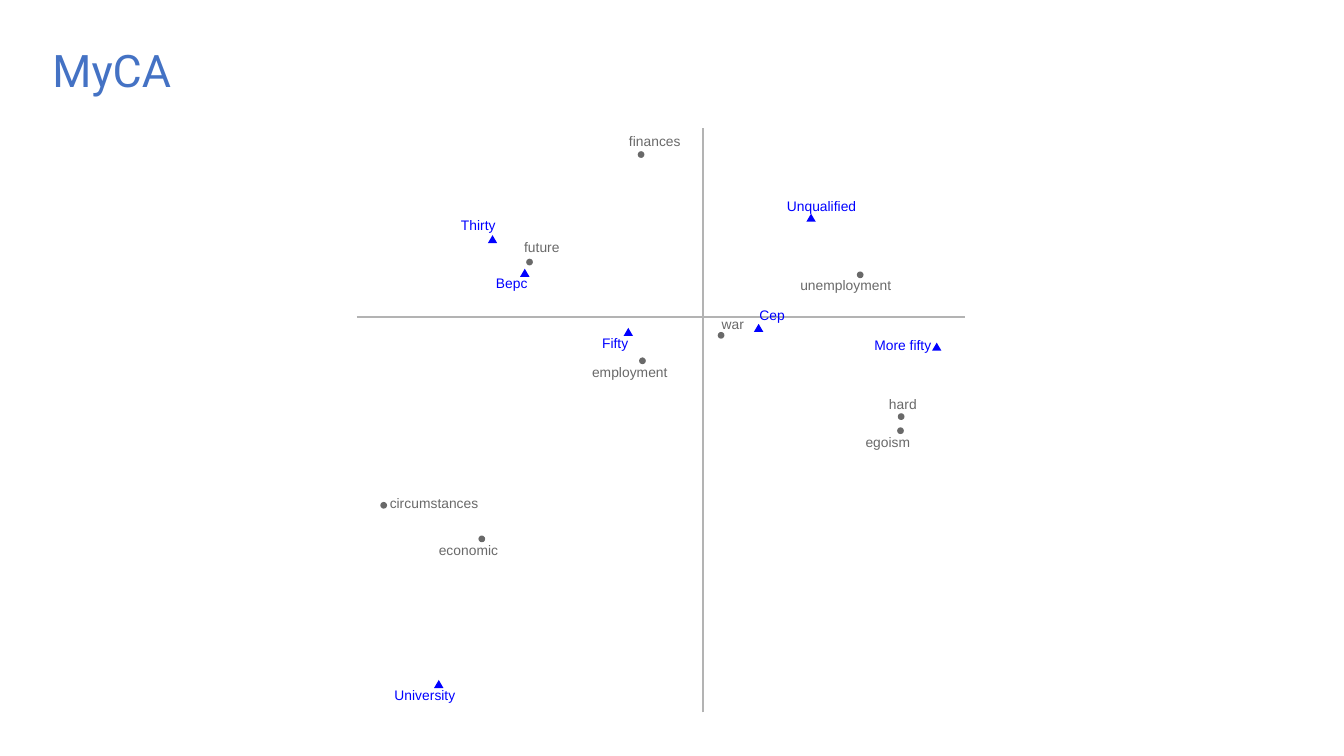
from pptx import Presentation
from pptx.dml.color import RGBColor
from pptx.enum.shapes import MSO_CONNECTOR, MSO_SHAPE
from pptx.enum.text import MSO_ANCHOR, MSO_AUTO_SIZE, PP_ALIGN
from pptx.oxml.ns import qn
from pptx.util import Pt
from lxml.etree import SubElement

PX = 4572  # 200 px to the inch
SLACK = 3  # spare width that keeps each label on one line
BLUE, GREY, AXIS, WHITE = "0000FF", "696969", "B3B3B3", "FFFFFF"
color = RGBColor.from_string


def write(frame, text, font="Arial", size=7.4, fill=GREY, space=Pt(7.4)):
    frame.vertical_anchor = MSO_ANCHOR.MIDDLE
    par = frame.paragraphs[0]
    par.alignment = PP_ALIGN.LEFT
    par.line_spacing = space
    run = par.add_run()
    run.text = text
    run.font.name = font
    run.font.size = Pt(size)
    run.font.color.rgb = color(fill)


def place(shapes, kind, box, fill):
    shape = shapes.add_shape(kind, *[v * PX for v in box])
    shape.shadow.inherit = False
    shape.fill.solid()
    shape.fill.fore_color.rgb = color(fill)
    shape.line.fill.background()
    return shape


deck = Presentation()
deck.slide_width, deck.slide_height = 2000 * PX, 1125 * PX
slide = deck.slides.add_slide(deck.slide_layouts[5])

# Title
title = slide.shapes.title
title.left, title.top, title.width, title.height = [
    v * PX for v in (58, 54, 1724, 110)]
title.text_frame.auto_size = MSO_AUTO_SIZE.NONE
write(title.text_frame, "MyCA", font="Roboto", size=24, fill="4472C4", space=0.9)

# Plot panel
plot = slide.shapes.add_group_shape().shapes
panel = place(plot, MSO_SHAPE.RECTANGLE, (184, 190, 1600, 870), WHITE)
panel.line.color.rgb = color(WHITE)
panel.line.width = Pt(0.75)

# Points: word, label box, marker corner
groups = [
    (MSO_SHAPE.ISOSCELES_TRIANGLE, (14, 12), BLUE, [
        ("Unqualified", (1171, 298, 102, 20), (1200, 318)),
        ("Cep", (1130, 461, 38, 20), (1122, 482)),
        ("Bepc", (738, 414, 46, 18), (774, 400)),
        ("University", (587, 1026, 90, 20), (646, 1012)),
        ("Thirty", (686, 327, 52, 20), (726, 350)),
        ("Fifty", (896, 502, 38, 20), (928, 488)),
        ("More fifty", (1301, 506, 84, 20), (1387, 510)),
    ]),
    (MSO_SHAPE.OVAL, (10, 10), GREY, [
        ("future", (780, 362, 52, 16), (783, 385)),
        ("unemployment", (1191, 416, 134, 20), (1275, 404)),
        ("circumstances", (580, 744, 132, 14), (566, 747)),
        ("hard", (1323, 596, 42, 14), (1336, 615)),
        ("economic", (653, 814, 88, 14), (712, 797)),
        ("egoism", (1288, 650, 66, 20), (1335, 636)),
        ("employment", (881, 546, 112, 20), (951, 532)),
        ("finances", (936, 204, 76, 16), (949, 225)),
        ("war", (1074, 478, 34, 12), (1068, 494)),
    ]),
]
for kind, size, fill, points in groups:
    for word, box, spot in points:
        place(plot, kind, spot + size, fill)

# Axes
for ends in [(531, 472, 1436, 472), (1046, 1060, 1046, 190)]:
    axis = plot.add_connector(MSO_CONNECTOR.STRAIGHT, *[v * PX for v in ends])
    axis.line.color.rgb = color(AXIS)
    axis.line.width = Pt(1.07)
    SubElement(axis._element.spPr, qn("a:effectLst"))

# Labels
for kind, size, fill, points in groups:
    for word, (left, top, wide, high), spot in points:
        box = (left, top, wide + SLACK, high)
        frame = plot.add_textbox(*[v * PX for v in box]).text_frame
        frame.margin_left = frame.margin_right = 0
        frame.margin_top = frame.margin_bottom = 0
        frame.word_wrap = False
        write(frame, word, fill=fill)

deck.save("out.pptx")
